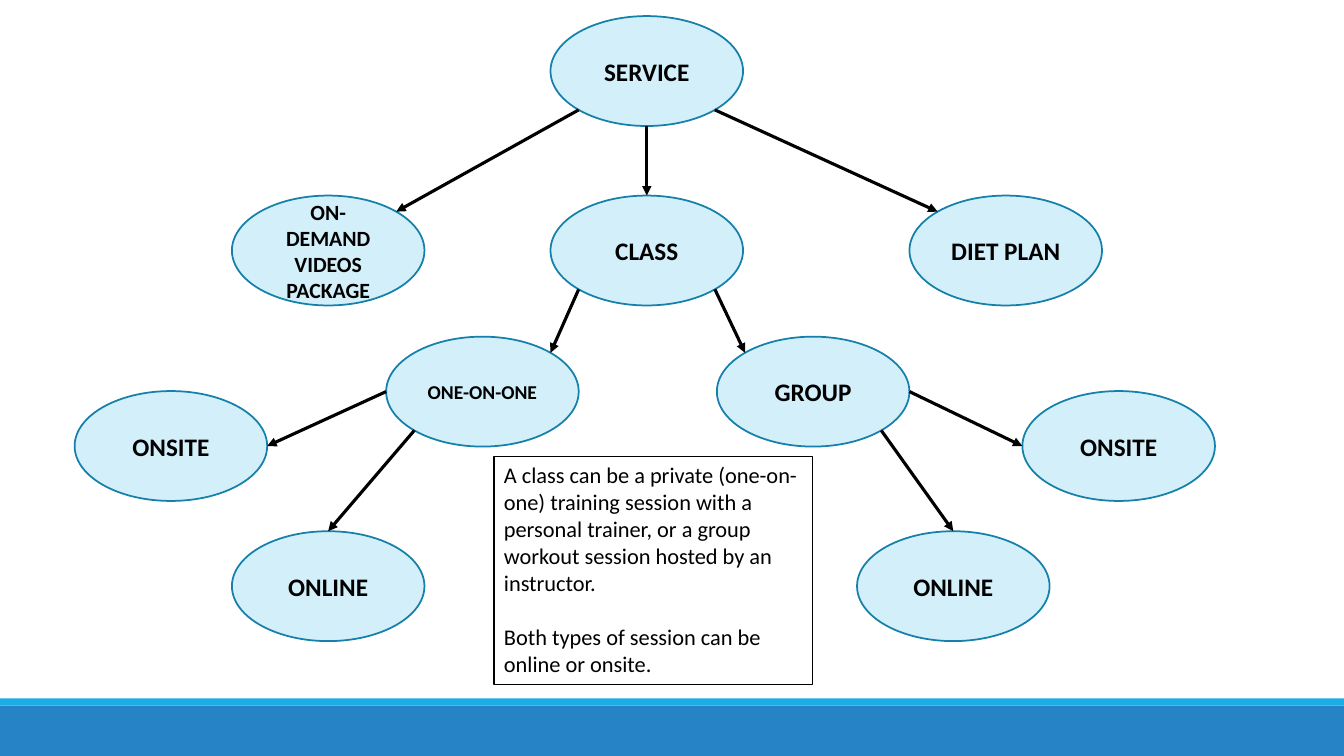
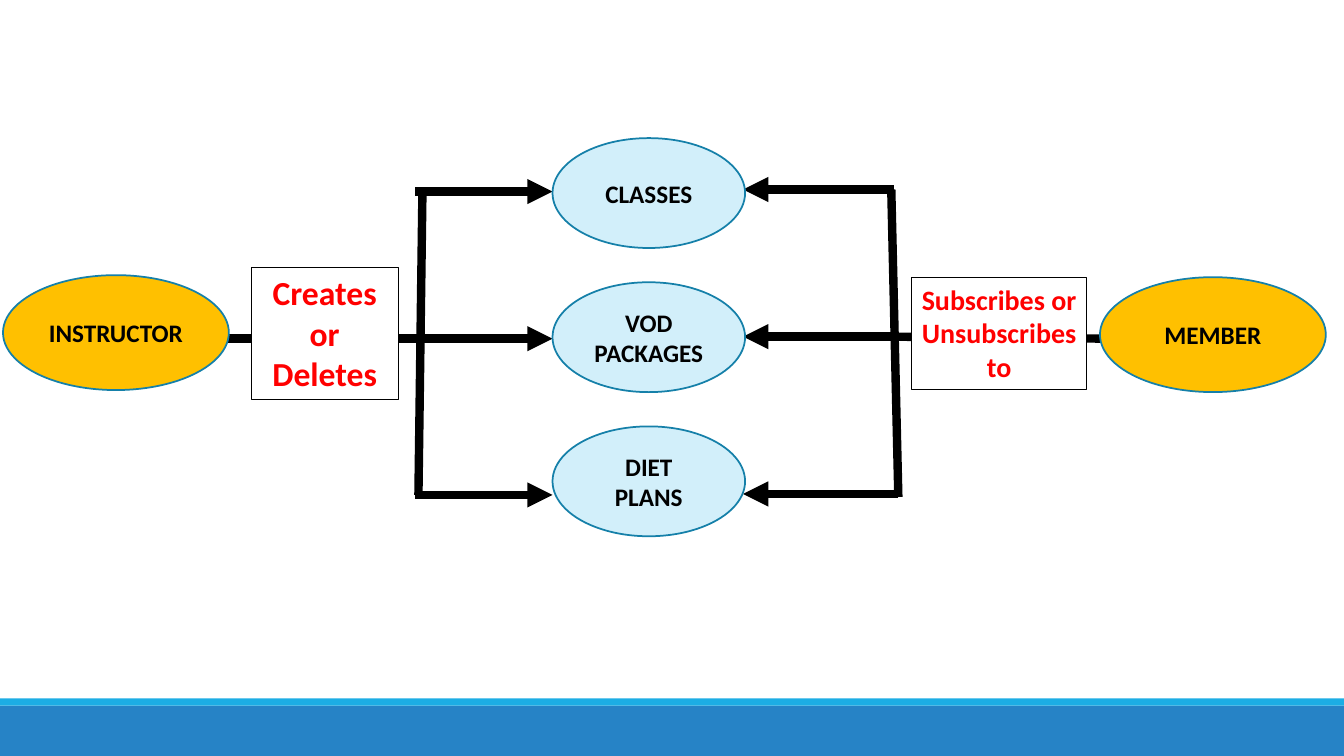
from math import cos, radians, sin

from lxml import etree
from pptx import Presentation
from pptx.dml.color import RGBColor
from pptx.enum.shapes import MSO_CONNECTOR, MSO_SHAPE
from pptx.enum.text import MSO_ANCHOR, MSO_AUTO_SIZE, PP_ALIGN
from pptx.oxml.ns import qn
from pptx.util import Inches, Pt

ELLIPSE, RECTANGLE = MSO_SHAPE.OVAL, MSO_SHAPE.RECTANGLE
STRAIGHT = MSO_CONNECTOR.STRAIGHT
CENTER, LEFT = PP_ALIGN.CENTER, PP_ALIGN.LEFT
MIDDLE = MSO_ANCHOR.MIDDLE
GROW = MSO_AUTO_SIZE.SHAPE_TO_FIT_TEXT

FONT = "Calibri"
BLACK, WHITE, RED = "000000", "FFFFFF", "FF0000"
PALE_BLUE, OUTLINE, GOLD = "D2EFFA", "1580A9", "FFC000"
BAND, STRIPE = "2683C6", "1CADE4"
SLIDE_W, SLIDE_H = 13.33, 7.5
NODE_W, NODE_H = 1.91, 1.09
ACTOR_W, ACTOR_H = 2.24, 1.14

# Attachment points of an ellipse, in degrees clockwise from the right
SITES = {"right": 0, "lower right": 45, "bottom": 90, "lower left": 135,
         "left": 180, "upper left": 225, "top": 270, "upper right": 315}


def color(hex_code):
    """Turn a hex string into a colour."""
    return RGBColor.from_string(hex_code)


def node_site(corner, site):
    """Return the point of a node's outline at the named site."""
    left, top = corner
    angle = radians(SITES[site])
    return (left + NODE_W / 2 * (1 + cos(angle)),
            top + NODE_H / 2 * (1 + sin(angle)))


class Deck:
    """Holds the presentation, its style and the current slide."""

    def __init__(self):
        """Start a widescreen presentation."""
        self.prs = Presentation()
        self.prs.slide_width = Inches(SLIDE_W)
        self.prs.slide_height = Inches(SLIDE_H)
        self.slide = None

    def new_slide(self):
        """Add a blank slide with the two footer bands."""
        self.slide = self.prs.slides.add_slide(self.prs.slide_layouts[6])
        self.shape(RECTANGLE, 0, 7, SLIDE_W, 0.5, BAND)
        self.shape(RECTANGLE, 0, 6.93, SLIDE_W, 0.07, STRIPE)

    def shape(self, kind, left, top, width, height, fill):
        """Add a filled shape without outline or shadow."""
        shape = self.slide.shapes.add_shape(
            kind, Inches(left), Inches(top), Inches(width), Inches(height))
        shape.shadow.inherit = False
        shape.fill.solid()
        shape.fill.fore_color.rgb = color(fill)
        shape.line.fill.background()
        return shape

    def set_text(self, frame, paragraphs, size, ink=BLACK, bold=True, align=CENTER):
        """Fill a text frame with evenly styled paragraphs."""
        frame.word_wrap = True
        frame.text = "\n".join(paragraphs)
        for paragraph in frame.paragraphs:
            paragraph.alignment = align
            paragraph.font.name = FONT
            paragraph.font.size = Pt(size)
            paragraph.font.bold = bold
            paragraph.font.color.rgb = color(ink)

    def ellipse(self, label, corner, size=18, fill=PALE_BLUE,
                width=NODE_W, height=NODE_H):
        """Add a labelled ellipse."""
        ellipse = self.shape(ELLIPSE, *corner, width, height, fill)
        ellipse.line.color.rgb = color(OUTLINE)
        ellipse.line.width = Pt(1.25)
        ellipse.text_frame.vertical_anchor = MIDDLE
        self.set_text(ellipse.text_frame, [label], size)

    def actor(self, label, corner):
        """Add a golden ellipse for a person."""
        self.ellipse(label, corner, fill=GOLD, width=ACTOR_W, height=ACTOR_H)

    def box(self, paragraphs, left, top, width, height, size, **style):
        """Add a white text box with a thin black border."""
        box = self.slide.shapes.add_textbox(
            Inches(left), Inches(top), Inches(width), Inches(height))
        box.fill.solid()
        box.fill.fore_color.rgb = color(WHITE)
        box.line.color.rgb = color(BLACK)
        box.line.width = Pt(0.75)
        self.set_text(box.text_frame, paragraphs, size, **style)
        box.text_frame.auto_size = GROW
        return box

    def line(self, start, end, weight, arrow=True):
        """Add a straight black line, with an arrowhead at its end if wanted."""
        ends = [Inches(value) for value in (*start, *end)]
        line = self.slide.shapes.add_connector(STRAIGHT, *ends)
        line.line.color.rgb = color(BLACK)
        line.line.width = Pt(weight)
        properties = line.element.spPr
        if arrow:
            etree.SubElement(properties.find(qn("a:ln")), qn("a:tailEnd"),
                             type="triangle")
        etree.SubElement(properties, qn("a:effectLst"))


def service_tree(deck):
    """Draw the tree of services."""
    deck.new_slide()
    nodes = {
        "service": ("SERVICE", (5.46, 0.16), 18),
        "class": ("CLASS", (5.46, 1.94), 18),
        "videos": ("ON-DEMAND VIDEOS PACKAGE", (2.3, 1.94), 15.5),
        "diet": ("DIET PLAN", (9.02, 1.94), 18),
        "private": ("ONE-ON-ONE", (3.83, 3.34), 14),
        "group": ("GROUP", (7.11, 3.34), 18),
        "group online": ("ONLINE", (8.5, 5.27), 18),
        "group onsite": ("ONSITE", (10.14, 3.88), 18),
        "private online": ("ONLINE", (2.3, 5.27), 18),
        "private onsite": ("ONSITE", (0.74, 3.88), 18),
    }
    for label, corner, size in nodes.values():
        deck.ellipse(label, corner, size)

    branches = [
        ("service", "lower right", "diet", "upper left"),
        ("service", "bottom", "class", "top"),
        ("service", "lower left", "videos", "upper right"),
        ("class", "lower right", "group", "upper left"),
        ("class", "lower left", "private", "upper right"),
        ("group", "right", "group onsite", "left"),
        ("group", "lower right", "group online", "top"),
        ("private", "lower left", "private online", "top"),
        ("private", "left", "private onsite", "right"),
    ]
    for parent, leaving, child, entering in branches:
        deck.line(node_site(nodes[parent][1], leaving),
                  node_site(nodes[child][1], entering), 2.25)

    explanation = deck.box(
        ["A class can be a private (one-on-one) training session with a personal "
         "trainer, or a group workout session hosted by an instructor.",
         "Both types of session can be online or onsite."],
        4.9, 4.53, 3.16, 2.26, 16, bold=False, align=LEFT)
    explanation.text_frame.paragraphs[0].space_after = Pt(19.5)


def roles(deck):
    """Draw what instructors and members do with the services."""
    deck.new_slide()
    weight = 6
    stems = [((8.84, 1.88), (8.91, 4.93)), ((11, 3.36), (8.84, 3.34)),
             ((4.19, 1.9), (4.15, 4.91)), ((2, 3.36), (4.19, 3.36))]
    for start, end in stems:
        deck.line(start, end, weight, arrow=False)
    for member_x, member_y in [(8.87, 1.88), (8.84, 3.34), (8.91, 4.9)]:
        deck.line((member_x, member_y), (7.37, member_y), weight)
    for instructor_y in (1.9, 3.36, 4.91):
        deck.line((4.12, instructor_y), (5.48, instructor_y), weight)

    for row, service in enumerate(["CLASSES", "VOD PACKAGES", "DIET PLANS"]):
        deck.ellipse(service, (5.48, 1.37 + 1.43 * row))
    deck.actor("INSTRUCTOR", (0.03, 2.73))
    deck.actor("MEMBER", (10.91, 2.75))
    deck.box(["Creates or Deletes"], 2.49, 2.65, 1.46, 1.31, 24, ink=RED)
    deck.box(["Subscribes or Unsubscribes to"], 9.04, 2.75, 1.74, 1.11, 20, ink=RED)


def main():
    """Build and save the presentation."""
    deck = Deck()
    service_tree(deck)
    roles(deck)
    deck.prs.save("out.pptx")


main()
